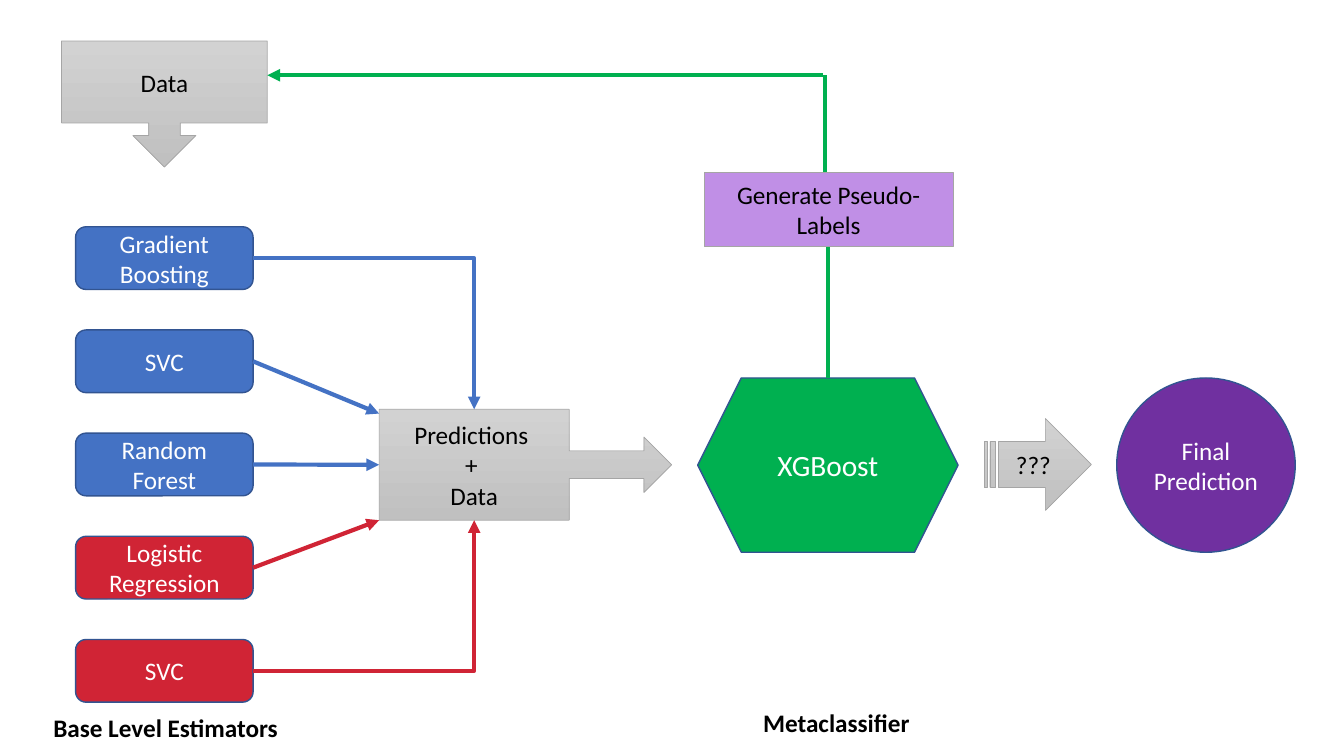
from collections import namedtuple

from lxml import etree
from pptx import Presentation
from pptx import util as u
from pptx.dml.color import RGBColor
from pptx.enum import shapes, text
from pptx.oxml import ns

Box = namedtuple("Box", "left top width height")
SHAPE = shapes.MSO_SHAPE
STRAIGHT, ELBOW = shapes.MSO_CONNECTOR.STRAIGHT, shapes.MSO_CONNECTOR.ELBOW
BLACK, WHITE = "000000", "FFFFFF"
BLUE, RED, GREEN = "4472C4", "D02435", "00B050"
PURPLE, LILAC = "7030A0", "A55EDB"
NAVY, GREY = "325491", "A5A5A5"
SILVER = ("D2D2D2", "C0C0C0")
CALLOUT_BODY = 0.65  # share of an arrow callout taken by its rectangle
ESTIMATORS = [("Gradient Boosting", BLUE), ("SVC", BLUE), ("Random Forest", BLUE),
              ("Logistic Regression", RED), ("SVC", RED)]


def rgb(value):
    return RGBColor.from_string(value)


def points(box):
    return [u.Pt(length) for length in box]


def write(frame, words, color, size=18, bold=False, align=text.PP_ALIGN.CENTER):
    frame.text = words
    frame.word_wrap = True
    for paragraph in frame.paragraphs:
        paragraph.alignment = align
        for run in paragraph.runs:
            run.font.name = "Calibri"
            run.font.size = u.Pt(size)
            run.font.bold = bold
            run.font.color.rgb = rgb(color)


def add_node(slide, kind, box, words, fill, outline=NAVY, weight=1, color=WHITE, size=18):
    node = slide.shapes.add_shape(kind, *points(box))
    node.shadow.inherit = False
    if isinstance(fill, tuple):
        node.fill.gradient()
        node.fill.gradient_angle = 270
        for stop, shade in zip(node.fill.gradient_stops, fill):
            stop.color.rgb = rgb(shade)
    else:
        node.fill.solid()
        node.fill.fore_color.rgb = rgb(fill)
    node.line.color.rgb = rgb(outline)
    node.line.width = u.Pt(weight)
    write(node.text_frame, words, color, size)
    node.text_frame.vertical_anchor = text.MSO_ANCHOR.MIDDLE
    return node


def add_grey_node(slide, kind, box, words, fill=SILVER):
    return add_node(slide, kind, box, words, fill, GREY, 0.5, BLACK)


def add_link(slide, start, end, color, kind=STRAIGHT, arrow=True):
    link = slide.shapes.add_connector(kind, *points(start + end))
    link.line.color.rgb = rgb(color)
    link.line.width = u.Pt(3)
    properties = link._element.spPr
    if kind == ELBOW:  # a single right-angle turn
        properties.find(ns.qn("a:prstGeom")).set("prst", "bentConnector2")
    if arrow:
        etree.SubElement(link.line._get_or_add_ln(), ns.qn("a:tailEnd"), type="triangle")
    etree.SubElement(properties, ns.qn("a:effectLst"))


def add_caption(slide, box, words):
    caption = slide.shapes.add_textbox(*points(box))
    write(caption.text_frame, words, BLACK, bold=True, align=text.PP_ALIGN.LEFT)


def add_data(slide, box):
    add_grey_node(slide, SHAPE.DOWN_ARROW_CALLOUT, box, "Data")


def add_estimators(slide, box, predictions):
    """Stack the base estimators and link each one to the predictions."""
    height = 44.8
    pitch = (box.height - height) / (len(ESTIMATORS) - 1)
    left, top = predictions.left, predictions.top
    bottom = top + predictions.height
    center = left + predictions.width * CALLOUT_BODY / 2
    targets = [(center, top), (left, top + 3), (left, (top + bottom) / 2),
               (left, bottom), (center, bottom)]
    for i, ((name, color), target) in enumerate(zip(ESTIMATORS, targets)):
        card = Box(box.left, box.top + i * pitch, box.width, height)
        add_node(slide, SHAPE.ROUNDED_RECTANGLE, card, name, color)
        start = (card.left + card.width, card.top + height / 2)
        add_link(slide, start, target, color, ELBOW if target[0] == center else STRAIGHT)
    add_caption(slide, Box(box.left - 23, box.top + box.height + 4, 187, 29),
                "Base Level Estimators")


def add_predictions(slide, box):
    add_grey_node(slide, SHAPE.RIGHT_ARROW_CALLOUT, box, "Predictions \n+ \nData")


def add_metaclassifier(slide, box, data):
    """Place the metaclassifier and its feedback loop to the data."""
    add_caption(slide, Box(box.left + 39.6, box.top + box.height + 107, 147, 29),
                "Metaclassifier")
    add_node(slide, SHAPE.HEXAGON, box, "XGBoost", GREEN, size=21)

    # Pseudo-labels above the hexagon
    labels = Box(box.left + 4.5, box.top - 147, 178, 53.3)
    node = add_grey_node(slide, SHAPE.RECTANGLE, labels, "Generate Pseudo-Labels", LILAC)
    tint = node._element.spPr.find(ns.qn("a:solidFill"))[0]
    etree.SubElement(tint, ns.qn("a:alpha"), val="69000")

    # Feedback path
    center = box.left + box.width / 2
    turn = center - 2
    loop = data.top + 24.5
    add_link(slide, (center, box.top), (center, labels.top + labels.height), GREEN, arrow=False)
    add_link(slide, (turn, labels.top), (turn, loop), GREEN, arrow=False)
    add_link(slide, (turn - 1.4, loop), (data.left + data.width, loop), GREEN)


def add_final(slide, box):
    """Place the striped arrow and the final prediction."""
    arrow = Box(box.left, box.top + 29, 76.5, 65.6)
    add_grey_node(slide, SHAPE.STRIPED_RIGHT_ARROW, arrow, "???")
    diameter = 127.5
    circle = Box(box.left + box.width - diameter, box.top, diameter, box.height)
    add_node(slide, SHAPE.OVAL, circle, "Final Prediction", PURPLE)


def main():
    deck = Presentation()
    deck.slide_width, deck.slide_height = u.Pt(960), u.Pt(540)
    slide = deck.slides.add_slide(deck.slide_layouts[6])
    data = Box(44, 29.3, 147, 90)
    predictions = Box(270.8, 292.4, 209, 79.2)

    add_data(slide, data)
    add_predictions(slide, predictions)
    add_estimators(slide, Box(54, 162, 126.8, 339.6), predictions)
    add_metaclassifier(slide, Box(498.4, 270, 186, 124.5), data)
    add_final(slide, Box(703, 270, 222.2, 124.5))
    deck.save("out.pptx")


if __name__ == "__main__":
    main()
